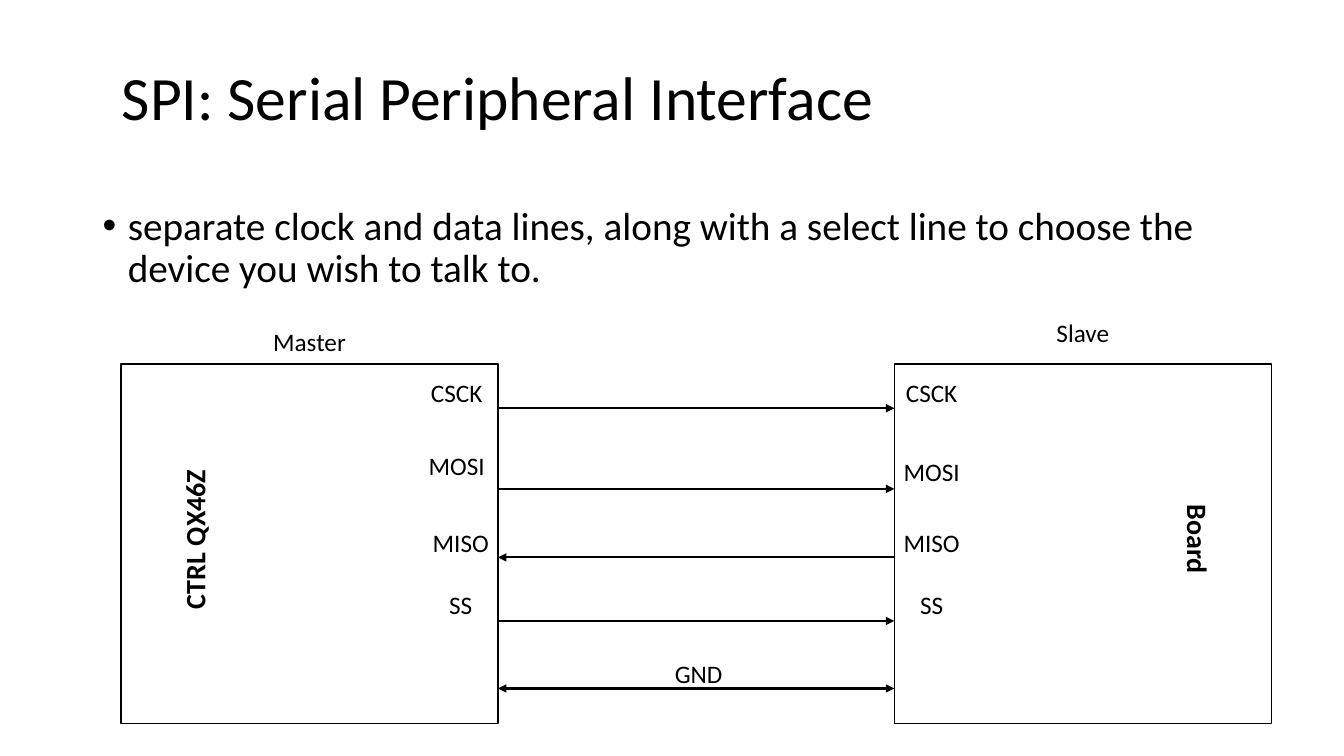
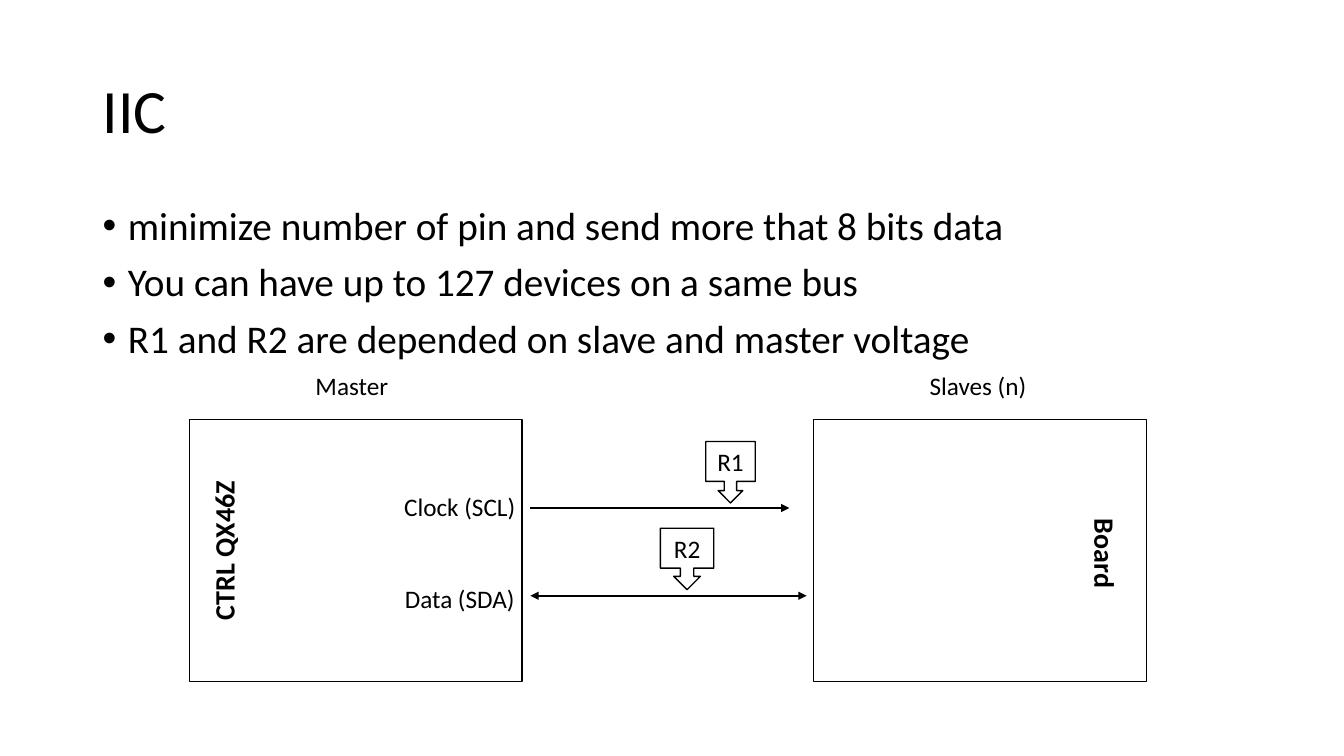
from lxml import etree
from pptx import Presentation
from pptx.dml.color import RGBColor
from pptx.enum.shapes import MSO_CONNECTOR, MSO_SHAPE
from pptx.enum.text import MSO_ANCHOR, PP_ALIGN
from pptx.oxml.ns import qn
from pptx.util import Inches, Pt

BLACK = RGBColor(0x00, 0x00, 0x00)
WHITE = RGBColor(0xFF, 0xFF, 0xFF)
FONT = "Calibri"
RECTANGLE = MSO_SHAPE.RECTANGLE
CALLOUT = MSO_SHAPE.DOWN_ARROW_CALLOUT
STRAIGHT = MSO_CONNECTOR.STRAIGHT
CENTER = PP_ALIGN.CENTER
LEFT = PP_ALIGN.LEFT
MIDDLE = MSO_ANCHOR.MIDDLE
TOP = MSO_ANCHOR.TOP
LABEL_WIDTH, LABEL_HEIGHT = 3, 0.4
NAME_WIDTH, NAME_HEIGHT = 2.93, 0.44
MASTER_NAME = "CTRL QX46Z"
SLAVE_NAME = "Board"

# Each label is (text, centre x, top); each name is (text, centre x, centre y, rotation).
# Each arrow is (start x, end x, y, arrowheads); each callout is (text, left, top, width).
SLIDES = [
    {
        "title": ("SPI: Serial Peripheral Interface", 1.11, 0.27),
        "bullets": [
            "separate clock and data lines, along with a select line to choose "
            "the device you wish to talk to.",
        ],
        "devices": [(1.2, 3.61, 3.74, 3.57), (8.87, 3.61, 3.74, 3.57)],
        "arrows": [
            (4.94, 8.87, 4.05, ["tailEnd"]),
            (4.94, 8.87, 4.85, ["tailEnd"]),
            (8.87, 4.94, 5.53, ["tailEnd"]),
            (4.94, 8.87, 6.16, ["tailEnd"]),
            (4.94, 8.87, 6.83, ["headEnd", "tailEnd"]),
        ],
        "labels": [
            ("Master", 3.07, 3.19), ("Slave", 10.74, 3.1),
            ("CSCK", 4.53, 3.69), ("CSCK", 9.24, 3.69),
            ("MOSI", 4.53, 4.42), ("MOSI", 9.24, 4.48),
            ("MISO", 4.57, 5.18), ("MISO", 9.24, 5.18),
            ("SS", 4.57, 5.8), ("SS", 9.24, 5.8),
            ("GND", 6.93, 6.48),
        ],
        "names": [(MASTER_NAME, 1.93, 5.35, 270), (SLAVE_NAME, 11.88, 5.35, 90)],
        "callouts": [],
    },
    {
        "title": ("IIC", 0.92, 0.4),
        "bullets": [
            "minimize number of pin and send more that 8 bits data",
            "You can have up to 127 devices on a same bus",
            "R1 and R2 are depended on slave and master voltage",
        ],
        "devices": [(1.88, 4.16, 3.3, 2.6), (8.07, 4.16, 3.3, 2.6)],
        "arrows": [
            (5.26, 7.83, 5.04, ["tailEnd"]),
            (5.26, 8, 5.91, ["headEnd", "tailEnd"]),
        ],
        "labels": [
            ("Master", 3.49, 3.62), ("Slaves (n)", 9.7, 3.62),
            ("Clock (SCL)", 4.56, 4.83), ("Data (SDA)", 4.56, 5.74),
        ],
        "names": [(MASTER_NAME, 2.22, 5.46, 270), (SLAVE_NAME, 10.96, 5.49, 90)],
        "callouts": [("R1", 7, 4.38, 0.49), ("R2", 6.55, 5.24, 0.53)],
    },
]


def add_text(slide, box, lines, size, align=CENTER, anchor=TOP, bold=False):
    """Add a wrapping text box with one paragraph per line of text."""
    shape = slide.shapes.add_textbox(*[Inches(length) for length in box])
    frame = shape.text_frame
    frame.word_wrap = True
    frame.vertical_anchor = anchor
    for index, line in enumerate(lines):
        paragraph = frame.paragraphs[0] if index == 0 else frame.add_paragraph()
        paragraph.alignment = align
        run = paragraph.add_run()
        run.text = line
        run.font.name = FONT
        run.font.size = Pt(size)
        run.font.bold = bold
        run.font.color.rgb = BLACK
    return shape


def add_outlined_shape(slide, kind, box):
    shape = slide.shapes.add_shape(kind, *[Inches(length) for length in box])
    shape.shadow.inherit = False
    shape.fill.solid()
    shape.fill.fore_color.rgb = WHITE
    shape.line.color.rgb = BLACK
    shape.line.width = Pt(1)
    return shape


presentation = Presentation()
presentation.slide_width = Inches(13.33)
presentation.slide_height = Inches(7.5)

for content in SLIDES:
    slide = presentation.slides.add_slide(presentation.slide_layouts[6])

    title, left, top = content["title"]
    title_box = add_text(slide, (left, top, 11.5, 1.45), [title], 44, LEFT, MIDDLE)
    title_box.text_frame.paragraphs[0].line_spacing = 0.9

    body = add_text(slide, (0.92, 2, 11.5, 1.65), content["bullets"], 28, LEFT)
    for index, paragraph in enumerate(body.text_frame.paragraphs):
        properties = paragraph._p.get_or_add_pPr()
        properties.set("marL", str(Inches(0.25)))
        properties.set("indent", str(-Inches(0.25)))
        etree.SubElement(properties, qn("a:buFont"), typeface="Arial")
        etree.SubElement(properties, qn("a:buChar"), char="•")
        paragraph.line_spacing = 0.9
        if index:
            paragraph.space_before = Pt(10)

    for box in content["devices"]:
        add_outlined_shape(slide, RECTANGLE, box)

    for start, end, y, heads in content["arrows"]:
        arrow = slide.shapes.add_connector(
            STRAIGHT, Inches(start), Inches(y), Inches(end), Inches(y))
        arrow.line.color.rgb = BLACK
        arrow.line.width = Pt(1.5)
        for head in heads:
            etree.SubElement(arrow.line._get_or_add_ln(), qn(f"a:{head}"), type="triangle")
        etree.SubElement(arrow._element.spPr, qn("a:effectLst"))

    for text, center, top in content["labels"]:
        box = (center - LABEL_WIDTH / 2, top, LABEL_WIDTH, LABEL_HEIGHT)
        add_text(slide, box, [text], 18)

    for text, center_x, center_y, rotation in content["names"]:
        box = (center_x - NAME_WIDTH / 2, center_y - NAME_HEIGHT / 2, NAME_WIDTH, NAME_HEIGHT)
        add_text(slide, box, [text], 20, bold=True).rotation = rotation

    for text, left, top, width in content["callouts"]:
        callout = add_outlined_shape(slide, CALLOUT, (left, top, width, 0.61))
        frame = callout.text_frame
        frame.margin_left = frame.margin_right = 0
        frame.vertical_anchor = MIDDLE
        paragraph = frame.paragraphs[0]
        paragraph.alignment = CENTER
        run = paragraph.add_run()
        run.text = text
        run.font.name = FONT
        run.font.size = Pt(18)
        run.font.color.rgb = BLACK

presentation.save("out.pptx")
